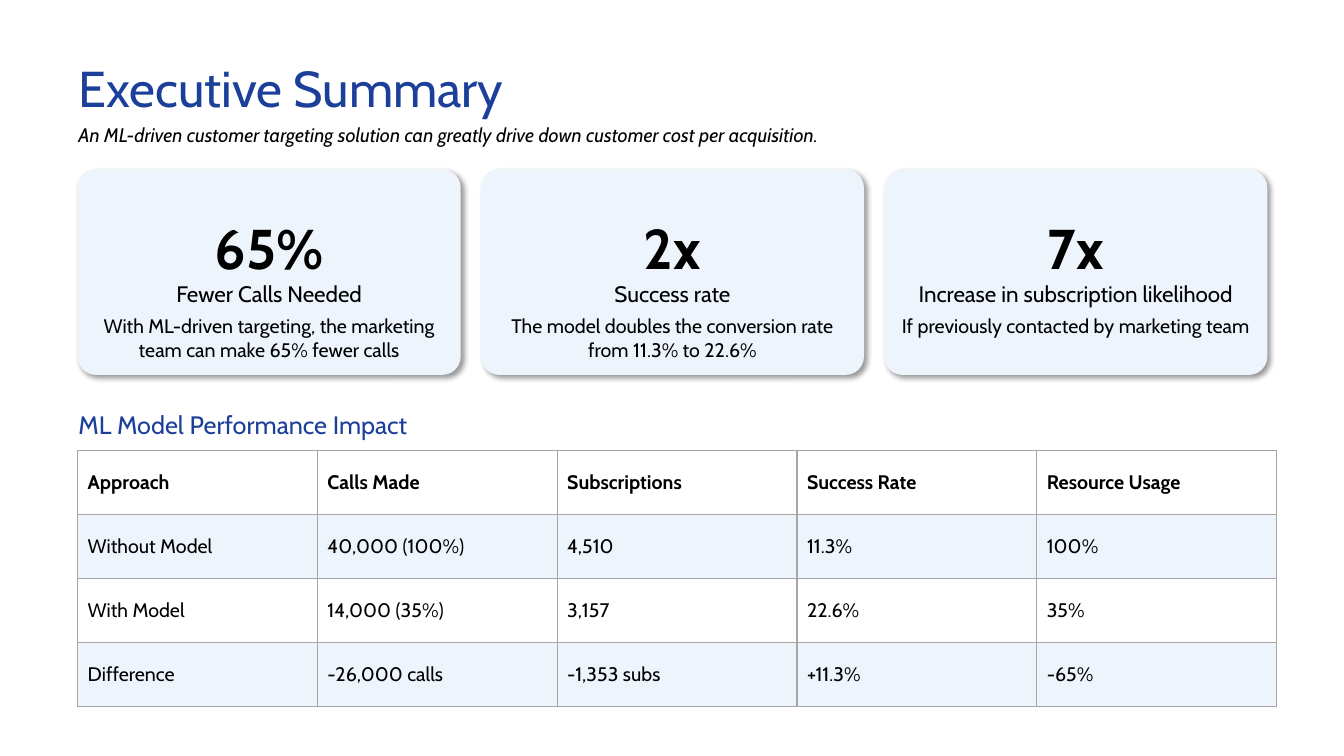
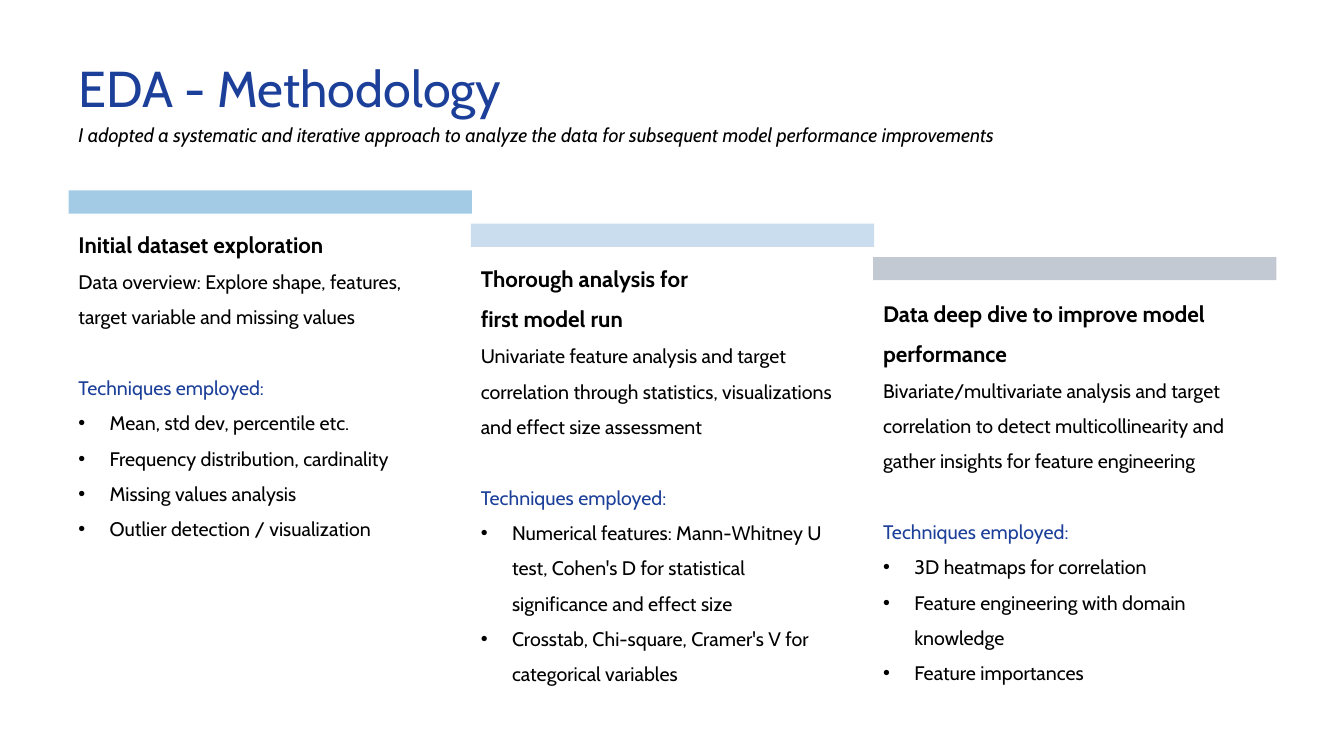
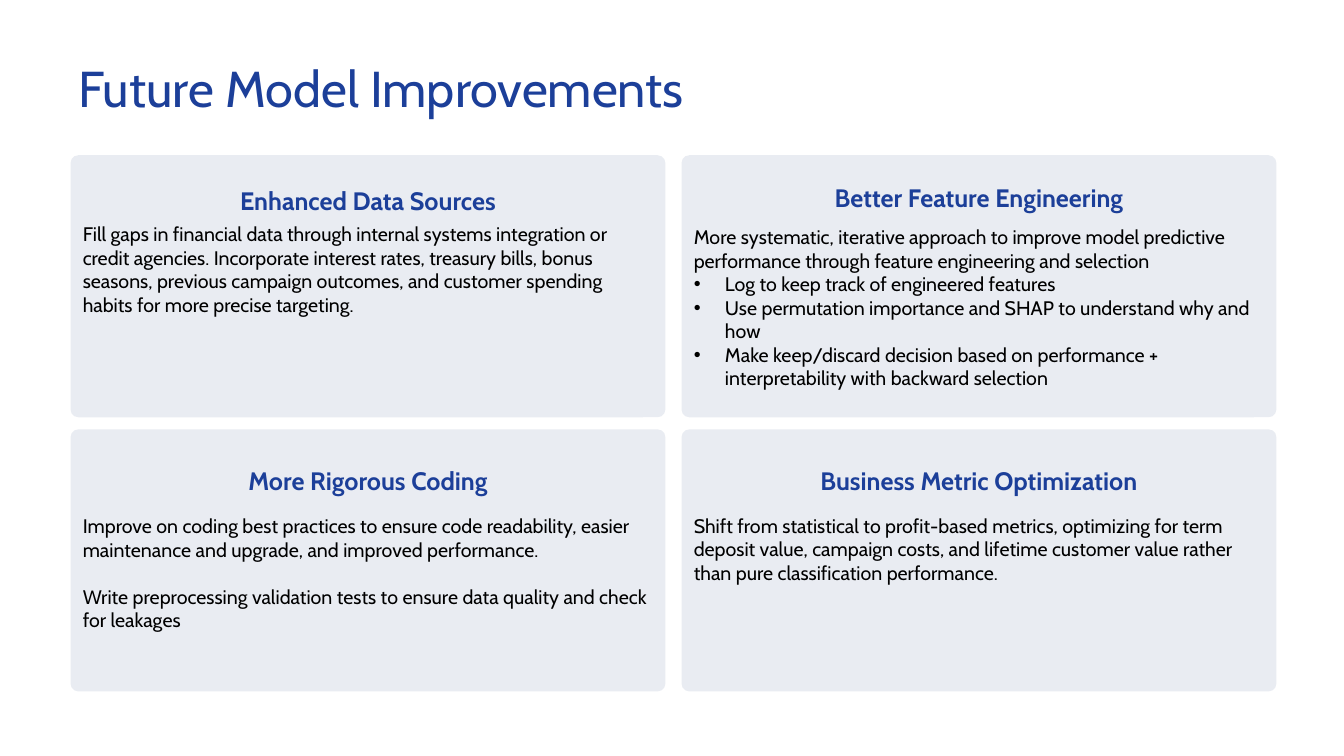
from dataclasses import dataclass

from lxml import etree
from pptx import Presentation
from pptx.dml.color import RGBColor
from pptx.enum.shapes import MSO_SHAPE
from pptx.enum.text import MSO_ANCHOR, MSO_AUTO_SIZE, PP_ALIGN
from pptx.oxml.ns import qn
from pptx.util import Inches, Pt

RECTANGLE, ROUNDED = MSO_SHAPE.RECTANGLE, MSO_SHAPE.ROUNDED_RECTANGLE
LEFT, CENTER = PP_ALIGN.LEFT, PP_ALIGN.CENTER
TOP, MIDDLE = MSO_ANCHOR.TOP, MSO_ANCHOR.MIDDLE
GROW = MSO_AUTO_SIZE.SHAPE_TO_FIT_TEXT

FONT = "Cabin"
COLORS = {
    "accent": "1C3F99",
    "text": "000000",
    "pale": "EDF4FB",
    "panel": "E9ECF2",
    "border": "A6A6A6",
}
BAR_COLORS = ("A3CBE5", "C9DDEE", "C2C9D3")
SLIDE_WIDTH, SLIDE_HEIGHT = 13.33, 7.5
MARGIN = 0.68
BODY_SIZE = 14
BODY_LINE = 17  # points taken by one body line
INDENT = 0.31


@dataclass(frozen=True)
class Box:
    left: float
    top: float
    width: float
    height: float

    def emu(self) -> list[int]:
        return [Inches(value) for value in (self.left, self.top, self.width, self.height)]


@dataclass(frozen=True)
class Grid:
    """Equal cells; the steps run from one cell's corner to the next."""
    first: Box
    column_step: float
    row_step: float = 0

    def cell(self, column: int, row: int = 0) -> Box:
        return Box(self.first.left + column * self.column_step,
                   self.first.top + row * self.row_step,
                   self.first.width, self.first.height)


@dataclass(frozen=True)
class Line:
    text: str
    size: float = BODY_SIZE
    color: str = "text"
    bold: bool = False
    italic: bool = False
    align: PP_ALIGN = LEFT
    spacing: float = 1
    before: float = 0
    bullet: bool = False


@dataclass(frozen=True)
class Metric:
    figure: str
    label: str
    detail: str


@dataclass(frozen=True)
class Stage:
    headings: tuple[str, ...]
    summary: str
    techniques: tuple[str, ...]
    width: float
    height: float


@dataclass(frozen=True)
class Improvement:
    """gap is in points below the heading; free_lines stay empty at the foot."""
    heading: str
    body: tuple[Line, ...]
    gap: float
    free_lines: int


METRIC_GRID = Grid(Box(0.77, 1.68, 3.8, 2.04), 4)
BAR_GRID = Grid(Box(MARGIN, 1.89, 4, 0.23), 3.99, 0.33)
STAGE_GRID = Grid(Box(MARGIN, 2.11, 3.79, 4.64), 3.99, 0.34)
PANEL_GRID = Grid(Box(0.7, 1.54, 5.9, 2.6), 6.06, 2.72)
TABLE_BOX = Box(0.77, 4.47, 11.89, 2.54)

METRICS = (
    Metric("65%", "Fewer Calls Needed",
           "With ML-driven targeting, the marketing team can make 65% fewer calls"),
    Metric("2x", "Success rate",
           "The model doubles the conversion rate from 11.3% to 22.6%"),
    Metric("7x", "Increase in subscription likelihood",
           "If previously contacted by marketing team"),
)
IMPACT_ROWS = (
    ("Approach", "Calls Made", "Subscriptions", "Success Rate", "Resource Usage"),
    ("Without Model", "40,000 (100%)", "4,510", "11.3%", "100%"),
    ("With Model", "14,000 (35%)", "3,157", "22.6%", "35%"),
    ("Difference", "-26,000 calls", "-1,353 subs", "+11.3%", "-65%"),
)
STAGES = (
    Stage(("Initial dataset exploration",),
          "Data overview: Explore shape, features, target variable and missing values",
          ("Mean, std dev, percentile etc.",
           "Frequency distribution, cardinality",
           "Missing values analysis",
           "Outlier detection / visualization"), 3.6, 4.64),
    Stage(("Thorough analysis for", "first model run"),
          "Univariate feature analysis and target correlation through statistics, "
          "visualizations and effect size assessment",
          ("Numerical features: Mann-Whitney U test, Cohen's D for statistical "
           "significance and effect size",
           "Crosstab, Chi-square, Cramer's V for categorical variables"), 3.79, 4.64),
    Stage(("Data deep dive to improve model performance",),
          "Bivariate/multivariate analysis and target correlation to detect "
          "multicollinearity and gather insights for feature engineering",
          ("3D heatmaps for correlation",
           "Feature engineering with domain knowledge",
           "Feature importances"), 3.79, 4.11),
)
IMPROVEMENTS = (
    Improvement("Enhanced Data Sources", (
        Line("Fill gaps in financial data through internal systems integration or credit "
             "agencies. Incorporate interest rates, treasury bills, bonus seasons, previous "
             "campaign outcomes, and customer spending habits for more precise targeting."),
    ), 5, 3),
    Improvement("Better Feature Engineering", (
        Line("More systematic, iterative approach to improve model predictive performance "
             "through feature engineering and selection"),
        Line("Log to keep track of engineered features", bullet=True),
        Line("Use permutation importance and SHAP to understand why and how", bullet=True),
        Line("Make keep/discard decision based on performance + interpretability "
             "with backward selection", bullet=True),
    ), 8.5, 0),
    Improvement("More Rigorous Coding", (
        Line("Improve on coding best practices to ensure code readability, easier "
             "maintenance and upgrade, and improved performance."),
        Line("Write preprocessing validation tests to ensure data quality and check "
             "for leakages", before=BODY_LINE),
    ), 13.4, 1),
    Improvement("Business Metric Optimization", (
        Line("Shift from statistical to profit-based metrics, optimizing for term deposit "
             "value, campaign costs, and lifetime customer value rather than pure "
             "classification performance."),
    ), 13.4, 3),
)


def rgb(hex_color: str) -> RGBColor:
    return RGBColor.from_string(hex_color)


def write_lines(text_frame, lines: list[Line]) -> None:
    text_frame.word_wrap = True
    for index, line in enumerate(lines):
        paragraph = text_frame.add_paragraph() if index else text_frame.paragraphs[0]
        paragraph.alignment = line.align
        paragraph.line_spacing = line.spacing
        paragraph.space_before = Pt(line.before)
        if line.bullet:
            properties = paragraph._p.get_or_add_pPr()
            properties.set("marL", str(Inches(INDENT)))
            properties.set("indent", str(-Inches(INDENT)))
            etree.SubElement(properties, qn("a:buFont"), typeface="Arial")
            etree.SubElement(properties, qn("a:buChar"), char="•")
        run = paragraph.add_run()
        run.text = line.text
        run.font.name = FONT
        run.font.size = Pt(line.size)
        run.font.bold = line.bold
        run.font.italic = line.italic
        run.font.color.rgb = rgb(COLORS[line.color])


def add_text(slide, box: Box, lines: list[Line], grow: bool = False) -> None:
    text_frame = slide.shapes.add_textbox(*box.emu()).text_frame
    write_lines(text_frame, lines)
    if grow:
        text_frame.auto_size = GROW


def add_block(slide, kind: MSO_SHAPE, box: Box, hex_color: str):
    shape = slide.shapes.add_shape(kind, *box.emu())
    shape.shadow.inherit = False
    shape.fill.solid()
    shape.fill.fore_color.rgb = rgb(hex_color)
    shape.line.fill.background()
    return shape


def add_card(slide, box: Box, color: str, rounding: float, anchor: MSO_ANCHOR,
             lines: list[Line]):
    card = add_block(slide, ROUNDED, box, COLORS[color])
    card.adjustments[0] = rounding
    card.text_frame.vertical_anchor = anchor
    write_lines(card.text_frame, lines)
    return card


def add_drop_shadow(shape) -> None:
    effects = shape._element.spPr.find(qn("a:effectLst"))
    shadow = etree.SubElement(effects, qn("a:outerShdw"), blurRad=str(Pt(4)),
                              dist=str(Pt(3)), dir=str(45 * 60000), algn="tl",
                              rotWithShape="0")
    color = etree.SubElement(shadow, qn("a:srgbClr"), val=COLORS["text"])
    etree.SubElement(color, qn("a:alpha"), val="40000")


def add_borders(cell) -> None:
    properties = cell._tc.get_or_add_tcPr()
    for side in ("lnL", "lnR", "lnT", "lnB"):
        border = etree.SubElement(properties, qn(f"a:{side}"), w=str(Pt(1)))
        fill = etree.SubElement(border, qn("a:solidFill"))
        etree.SubElement(fill, qn("a:srgbClr"), val=COLORS["border"])


def add_impact_table(slide) -> None:
    row_count, column_count = len(IMPACT_ROWS), len(IMPACT_ROWS[0])
    table = slide.shapes.add_table(row_count, column_count, *TABLE_BOX.emu()).table
    table.first_row = table.horz_banding = False
    for row, values in enumerate(IMPACT_ROWS):
        for column, value in enumerate(values):
            cell = table.cell(row, column)
            cell.vertical_anchor = MIDDLE
            add_borders(cell)
            if row % 2:
                cell.fill.solid()
                cell.fill.fore_color.rgb = rgb(COLORS["pale"])
            else:
                cell.fill.background()
            write_lines(cell.text_frame, [Line(value, bold=row == 0)])


def new_slide(presentation, title: str, subtitle: str = ""):
    slide = presentation.slides.add_slide(presentation.slide_layouts[6])
    add_text(slide, Box(MARGIN, 0.52, 11.98, 0.71),
             [Line(title, 36, "accent")], grow=True)
    if subtitle:
        add_text(slide, Box(MARGIN, 1.17, 12, 0.34),
                 [Line(subtitle, italic=True)], grow=True)
    return slide


def build_summary(presentation) -> None:
    slide = new_slide(presentation, "Executive Summary",
                      "An ML-driven customer targeting solution can greatly drive down "
                      "customer cost per acquisition.")
    add_impact_table(slide)
    add_text(slide, Box(MARGIN, 4.01, 6.67, 0.4),
             [Line("ML Model Performance Impact", 18, "accent")], grow=True)
    for column, metric in enumerate(METRICS):
        card = add_card(slide, METRIC_GRID.cell(column), "pale", 0.09, TOP, [
            Line(metric.figure, 40, bold=True, align=CENTER, spacing=1.5),
            Line(metric.label, 16, align=CENTER),
            Line(metric.detail, align=CENTER, before=5),
        ])
        add_drop_shadow(card)


def build_methodology(presentation) -> None:
    slide = new_slide(presentation, "EDA - Methodology",
                      "I adopted a systematic and iterative approach to analyze the data "
                      "for subsequent model performance improvements")
    for step, (stage, bar_color) in enumerate(zip(STAGES, BAR_COLORS)):
        add_block(slide, RECTANGLE, BAR_GRID.cell(step, step), bar_color)
        corner = STAGE_GRID.cell(step, step)
        lines = [Line(text, 16, bold=True, spacing=1.5) for text in stage.headings]
        lines.append(Line(stage.summary, spacing=1.5))
        lines.append(Line("Techniques employed:", color="accent", spacing=1.5,
                          before=1.5 * BODY_LINE))
        lines += [Line(text, spacing=1.5, bullet=True) for text in stage.techniques]
        add_text(slide, Box(corner.left, corner.top, stage.width, stage.height), lines)


def build_improvements(presentation) -> None:
    slide = new_slide(presentation, "Future Model Improvements")
    for index, item in enumerate(IMPROVEMENTS):
        row, column = divmod(index, 2)
        heading = Line(item.heading, 18, "accent", bold=True, align=CENTER)
        card = add_card(slide, PANEL_GRID.cell(column, row), "panel", 0.03, MIDDLE,
                        [heading, *item.body])
        card.text_frame.paragraphs[1].space_before = Pt(item.gap)
        card.text_frame.margin_bottom = Inches(0.05) + Pt(item.free_lines * BODY_LINE)


def main() -> None:
    presentation = Presentation()
    presentation.slide_width = Inches(SLIDE_WIDTH)
    presentation.slide_height = Inches(SLIDE_HEIGHT)
    build_summary(presentation)
    build_methodology(presentation)
    build_improvements(presentation)
    presentation.save("out.pptx")


if __name__ == "__main__":
    main()
